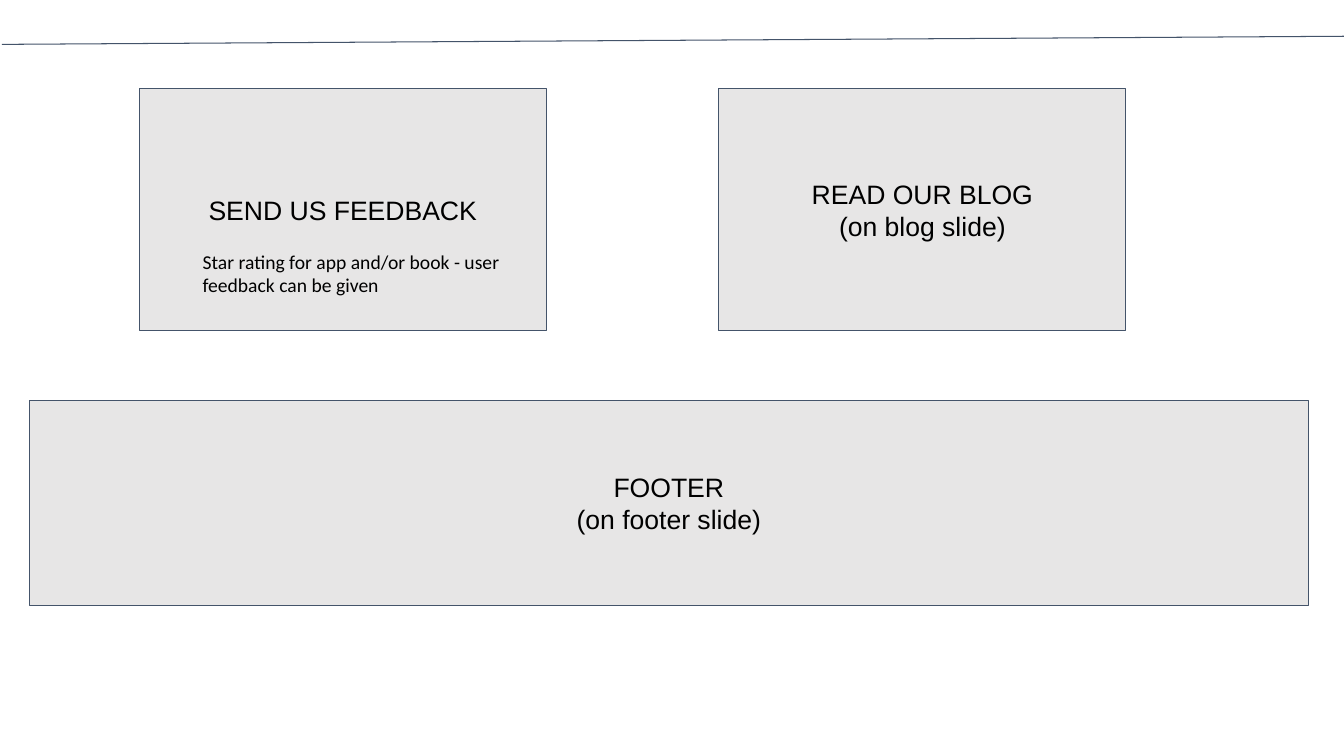
from dataclasses import dataclass

from lxml import etree
from pptx import Presentation
from pptx.dml.color import RGBColor
from pptx.enum import shapes, text
from pptx.oxml.ns import qn
from pptx.util import Pt


@dataclass(frozen=True)
class Theme:
    fill: RGBColor = RGBColor(0xE7, 0xE6, 0xE6)
    line: RGBColor = RGBColor(0x44, 0x54, 0x6A)
    ink: RGBColor = RGBColor(0, 0, 0)
    line_width: float = 0.75
    title_font: str = "Arial"
    title_size: int = 19
    note_font: str = "Calibri"
    note_size: int = 14


THEME = Theme()
SLIDE_SIZE = (960, 540)
INSET = 9.36
DIVIDER = (1.4, 31.7, 962.6, 25.9)

# Cards share a row; the footer panel has its own.
CARD_LEFT, CARD_TOP, CARD_WIDTH, CARD_HEIGHT = 99.4, 63.4, 290.9, 172.8
CARD_STEP = 414
CARDS = [
    {"titles": ["SEND US FEEDBACK"],
     "note": "Star rating for app and/or book - user feedback can be given"},
    {"titles": ["READ OUR BLOG", "(on blog slide)"]},
]
FOOTER = ["FOOTER", "(on footer slide)"]
FOOTER_BOX = (20.9, 285.8, 913.7, 146.9)

FEEDBACK_TOP = 75
NOTE_GAP = 17
NOTE_INDENT = 36


def style_text(p, font, size, align):
    p.alignment = align
    for r in p.runs:
        r.font.name = font
        r.font.size = Pt(size)
        r.font.color.rgb = THEME.ink


def add_panel(slide, box, titles, note=None):
    """Add a grey box with centred titles and an optional indented note."""
    sp = slide.shapes.add_shape(shapes.MSO_SHAPE.RECTANGLE, *map(Pt, box))
    sp.shadow.inherit = False
    sp.fill.solid()
    sp.fill.fore_color.rgb = THEME.fill
    sp.line.color.rgb = THEME.line
    sp.line.width = Pt(THEME.line_width)

    tf = sp.text_frame
    tf.word_wrap = True
    tf.margin_left = tf.margin_right = Pt(INSET)
    tf.margin_top = tf.margin_bottom = Pt(INSET)
    tf.vertical_anchor = text.MSO_ANCHOR.MIDDLE
    tf.text = "\n".join(titles)
    for p in tf.paragraphs:
        style_text(p, THEME.title_font, THEME.title_size, text.PP_ALIGN.CENTER)

    if note:
        tf.vertical_anchor = text.MSO_ANCHOR.TOP
        tf.margin_top = Pt(FEEDBACK_TOP)
        p = tf.add_paragraph()
        p.text = note
        p.space_before = Pt(NOTE_GAP)
        p._p.get_or_add_pPr().set("marL", str(Pt(NOTE_INDENT)))
        style_text(p, THEME.note_font, THEME.note_size, text.PP_ALIGN.LEFT)


def add_divider(slide):
    line = slide.shapes.add_connector(
        shapes.MSO_CONNECTOR.STRAIGHT, *map(Pt, DIVIDER))
    line.line.color.rgb = THEME.line
    line.line.width = Pt(THEME.line_width)
    etree.SubElement(line._element.spPr, qn("a:effectLst"))


def main():
    prs = Presentation()
    prs.slide_width, prs.slide_height = map(Pt, SLIDE_SIZE)
    slide = prs.slides.add_slide(prs.slide_layouts[6])

    add_divider(slide)
    for i, card in enumerate(CARDS):
        box = (CARD_LEFT + i * CARD_STEP, CARD_TOP, CARD_WIDTH, CARD_HEIGHT)
        add_panel(slide, box, **card)
    add_panel(slide, FOOTER_BOX, FOOTER)

    prs.save("out.pptx")


if __name__ == "__main__":
    main()
